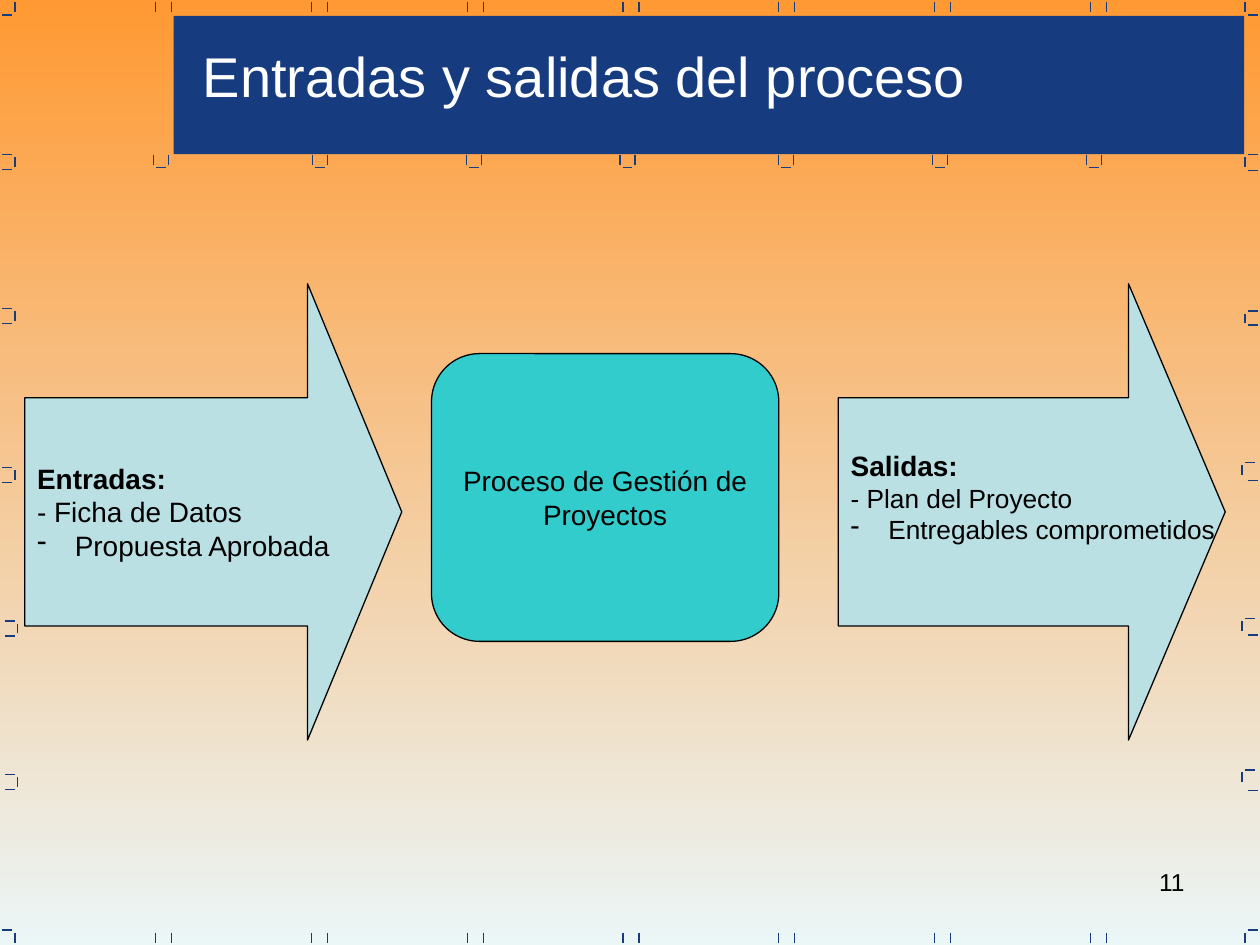
from dataclasses import dataclass

from lxml.etree import SubElement
from pptx import Presentation
from pptx.dml.color import RGBColor
from pptx.enum.shapes import MSO_CONNECTOR, MSO_SHAPE
from pptx.enum.text import MSO_ANCHOR, PP_ALIGN
from pptx.oxml.ns import qn
from pptx.slide import Slide
from pptx.util import Cm, Pt

ORANGE = RGBColor(0xFF, 0x99, 0x33)
MIST = RGBColor(0xEB, 0xF6, 0xF7)
NAVY = RGBColor(0x16, 0x3B, 0x7F)
PALE = RGBColor(0xBB, 0xE0, 0xE3)
TEAL = RGBColor(0x33, 0xCC, 0xCC)
BLACK = RGBColor(0, 0, 0)
WHITE = RGBColor(0xFF, 0xFF, 0xFF)

TICK = 0.2
GAP = 0.05
MARK = TICK + 2 * GAP


@dataclass
class ProcessSlide:
    """Draws the elements of a process slide in one style, measured in centimetres."""

    s: Slide
    font: str = "Arial"
    line_width: float = 0.75

    def background(self, top, bottom):
        fill = self.s.background.fill
        fill.gradient()
        fill.gradient_angle = 270
        for stop, color, position in zip(fill.gradient_stops, (top, bottom), (0, 1)):
            stop.color.rgb = color
            stop.position = position

    def line(self, x1, y1, x2, y2):
        c = self.s.shapes.add_connector(
            MSO_CONNECTOR.STRAIGHT, Cm(x1), Cm(y1), Cm(x2), Cm(y2))
        c.line.color.rgb = NAVY
        c.line.width = Pt(self.line_width)
        SubElement(c._element.spPr, qn("a:effectLst"))

    def across(self, x, y):
        self.line(x, y, x + TICK, y)

    def down(self, x, y):
        self.line(x, y, x, y + TICK)

    def paragraph(self, p, text, size, color=BLACK, bold=False, align=PP_ALIGN.LEFT):
        p.text = text
        p.alignment = align
        for r in p.runs:
            r.font.name = self.font
            r.font.size = Pt(size)
            r.font.bold = bold
            r.font.color.rgb = color

    def text(self, x, y, w, h, text, size, color=BLACK, align=PP_ALIGN.LEFT):
        tf = self.s.shapes.add_textbox(Cm(x), Cm(y), Cm(w), Cm(h)).text_frame
        tf.word_wrap = True
        self.paragraph(tf.paragraphs[0], text, size, color, align=align)

    def shape(self, kind, x, y, w, h, fill, outline=BLACK):
        sp = self.s.shapes.add_shape(kind, Cm(x), Cm(y), Cm(w), Cm(h))
        sp.shadow.inherit = False
        sp.fill.solid()
        sp.fill.fore_color.rgb = fill
        if outline is None:
            sp.line.fill.background()
        else:
            sp.line.color.rgb = outline
            sp.line.width = Pt(self.line_width)
        sp.text_frame.vertical_anchor = MSO_ANCHOR.MIDDLE
        return sp

    def box(self, x, y, w, h, text, size):
        sp = self.shape(MSO_SHAPE.ROUNDED_RECTANGLE, x, y, w, h, TEAL)
        sp.text_frame.word_wrap = True
        self.paragraph(sp.text_frame.paragraphs[0], text, size, align=PP_ALIGN.CENTER)

    def arrow(self, x, y, w, h, heading, first, second, size, bottom=0.13):
        sp = self.shape(MSO_SHAPE.RIGHT_ARROW, x, y, w, h, PALE)
        sp.adjustments[1] = 0.25
        tf = sp.text_frame
        tf.word_wrap = False
        tf.margin_bottom = Cm(bottom)
        self.paragraph(tf.paragraphs[0], heading, 16, bold=True)
        self.paragraph(tf.add_paragraph(), first, size)
        p = tf.add_paragraph()
        pPr = p._p.get_or_add_pPr()
        pPr.set("marL", str(Cm(0.76)))
        pPr.set("indent", str(-Cm(0.76)))
        SubElement(pPr, qn("a:buChar"), char="-")
        self.paragraph(p, second, size)


def draw_marks(slide):
    for column in range(7):
        x = 3.14 * (column + 1)
        for y in (0.05, 18.8):
            slide.down(x, y)
            slide.down(x + 0.32, y)
    for x in (3.1, 6.3, 9.4, 12.5, 15.7, 18.8, 21.9):
        slide.down(x, 3.12)
        slide.down(x + MARK, 3.12)
        slide.across(x + GAP, 3.12 + TICK + GAP)
    for x, y in ((0.05, 3.12), (0.05, 6.22), (0.05, 9.42), (0.1, 12.52), (0.1, 15.62)):
        slide.across(x, y)
        slide.across(x, y + MARK)
        slide.down(x + TICK + GAP, y + GAP)
    for x, y, bottom in ((25.1, 3.12, 3.43), (25.1, 6.27, 6.55), (25.04, 9.32, 9.68),
                         (25.04, 12.47, 12.8), (25.04, 15.52, 15.93)):
        slide.across(x + GAP, y)
        slide.across(25.15, bottom)
        slide.down(x, y + GAP)
    for across_x, down_x in ((0.05, 0.3), (25.15, 25.1)):
        for across_y, down_y in ((0.3, 0.05), (18.75, 18.8)):
            slide.across(across_x, across_y)
            slide.down(down_x, down_y)


def main():
    prs = Presentation()
    prs.slide_width, prs.slide_height = Cm(25.4), Cm(19.05)
    slide = ProcessSlide(prs.slides.add_slide(prs.slide_layouts[6]))
    slide.background(ORANGE, MIST)
    slide.text(18.21, 17.35, 5.92, 1.32, "11", 14, align=PP_ALIGN.RIGHT)
    slide.shape(MSO_SHAPE.RECTANGLE, 3.5, 0.32, 21.58, 2.79, NAVY, None)
    draw_marks(slide)
    slide.text(3.84, 0.71, 17.27, 1.63, "Entradas y salidas del proceso", 32, WHITE)
    slide.arrow(0.5, 5.72, 7.6, 9.2, "Entradas:", "- Ficha de Datos",
                "Propuesta Aprobada", 16)
    slide.box(8.7, 7.13, 7, 5.8, "Proceso de Gestión de Proyectos", 16)
    slide.arrow(16.9, 5.72, 7.8, 9.2, "Salidas:", "- Plan del Proyecto",
                "Entregables comprometidos", 15, bottom=0.74)
    prs.save("out.pptx")


if __name__ == "__main__":
    main()
